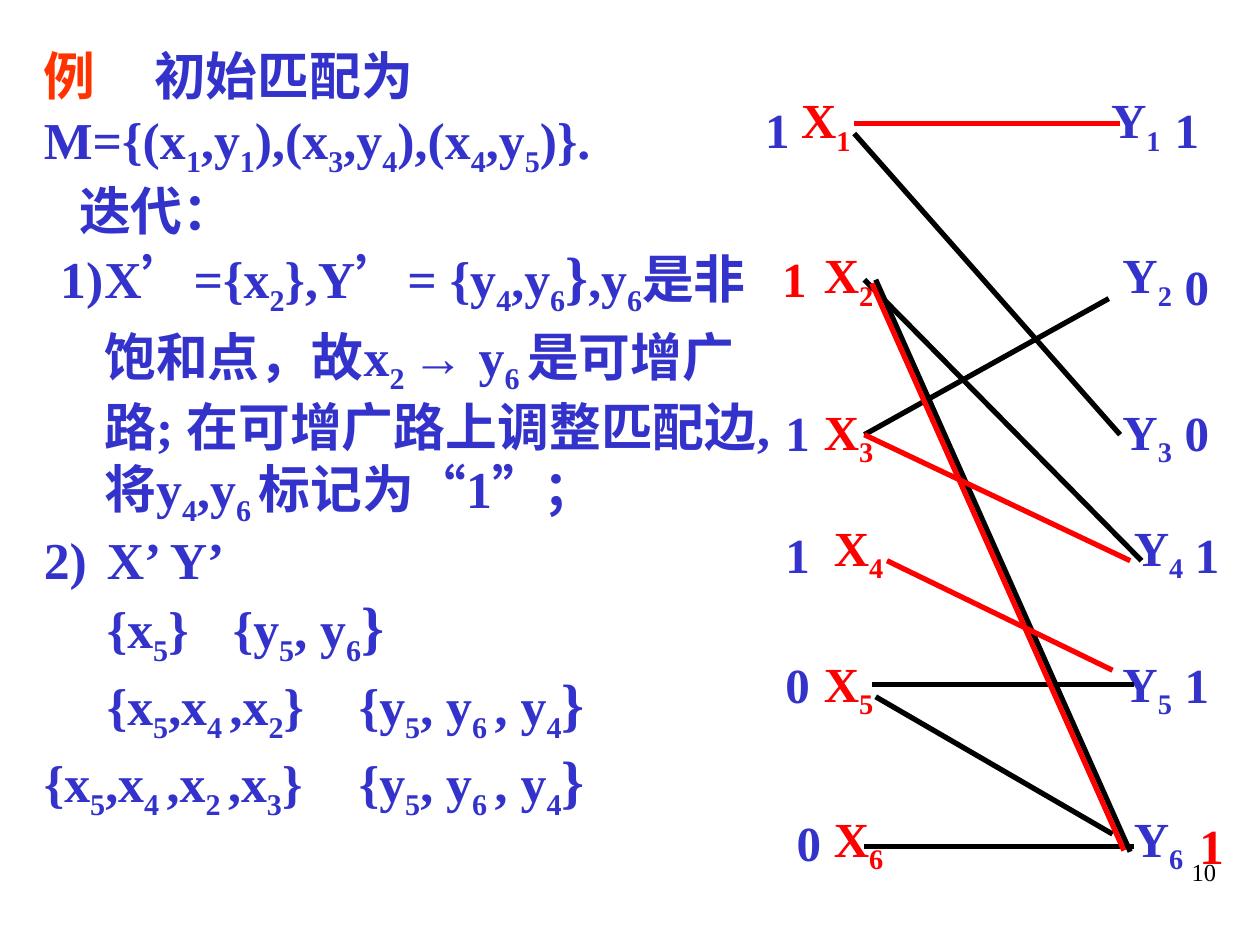
"""Build a slide showing an augmenting-path iteration on a bipartite graph."""
from itertools import groupby

from lxml import etree
from pptx import Presentation
from pptx.dml.color import RGBColor
from pptx.enum.shapes import MSO_CONNECTOR, MSO_SHAPE
from pptx.enum.text import MSO_ANCHOR, PP_ALIGN
from pptx.oxml.ns import qn
from pptx.util import Inches, Pt

OVAL, RECTANGLE = MSO_SHAPE.OVAL, MSO_SHAPE.RECTANGLE
STRAIGHT = MSO_CONNECTOR.STRAIGHT
LEFT, CENTER, RIGHT = PP_ALIGN.LEFT, PP_ALIGN.CENTER, PP_ALIGN.RIGHT
BLUE = RGBColor(0x33, 0x33, 0xCC)
RED = RGBColor(0xFF, 0x00, 0x00)
ORANGE = RGBColor(0xFF, 0x33, 0x00)
BLACK = RGBColor(0x00, 0x00, 0x00)
WHITE = RGBColor(0xFF, 0xFF, 0xFF)
SERIF, ARROW_FONT = "Times New Roman", "Arial"
BODY_SIZE, BIG_SIZE, NODE_SIZE, PAGE_SIZE = 29.6, 33.3, 28, 14

# In the explanation "_" lowers the next character and "^" enlarges it.
EXPLANATION = [
    {"text": "例^\u3000初始匹配为".replace("\u3000", "　")},
    {"text": "M={(x_1,y_1),(x_3,y_4),(x_4,y_5)}."},
    {"text": "迭代：", "margin": 0.28},
    {"text": "X’={x_2},Y’= {y_4,y_6^},y_6是非饱和点，故x_2_ →^ y_6_ 是可增广路; "
             "在可增广路上调整匹配边, 将y_4,y_6_ 标记为“1”；",
     "margin": 0.48, "indent": -0.35, "numbered": True},
    {"text": "2)\tX’\tY’", "tabs": (0.96, 3.1)},
    {"text": "\t{x_5}\t{y_5, y_6^}", "tabs": (0.72, 2.71)},
    {"text": "\t{x_5,x_4_ ,x_2}\t{y_5, y_6_ , y_4^}", "tabs": (0.1, 2.49)},
    {"text": "{x_5,x_4_ ,x_2_ ,x_3}\t{y_5, y_6_ , y_4^}", "tabs": (2.5,)},
]
NODE_TOPS = (0.75, 1.98, 3.22, 4.14, 5.22, 6.45)
NODE_COLUMNS = {
    "X": (RED, (6.25, 6.43, 6.43, 6.51, 6.43, 6.51)),
    "Y": (BLUE, (8.71, 8.8, 8.8, 8.89, 8.8, 8.89)),
}
LABEL_TOPS = (0.79, 2.04, 3.2, 4.17, 5.2, 6.45)
LABEL_COLUMNS = [
    ("1 1100", (5.92, 6.08, 6.08, 6.08, 6.08, 6.17)),
    ("10011 ", (9.17, 9.25, 9.25, 9.33, 9.25, 9.33)),
]
CHANGED_LABELS = [("1", 6, 1.92, 0.5, RIGHT), ("1", 9.42, 6.42, 0.58, LEFT)]
EDGES = [
    (6.78, 0.98, 8.89, 0.98, RED),
    (6.78, 1.06, 8.89, 3.45, BLACK),
    (6.86, 2.22, 9.06, 4.45, BLACK),
    (6.95, 2.22, 8.97, 6.76, BLACK),
    (6.86, 3.45, 8.8, 2.37, BLACK),
    (6.86, 3.45, 8.97, 4.45, RED),
    (7.04, 4.45, 8.83, 5.32, RED),
    (6.95, 5.53, 8.83, 6.62, BLACK),
    (6.86, 6.72, 9, 6.72, BLACK),
    (6.92, 5.43, 9, 5.43, BLACK),
    (6.92, 2.25, 8.92, 6.75, RED),
]


def style(run, size, color, bold=True, font=SERIF):
    run.font.size, run.font.bold, run.font.name = Pt(size), bold, font
    run.font.color.rgb = color


def styled_pieces(text):
    marked, mark = [], ""
    for char in text:
        if char in "_^":
            mark = char
            continue
        marked.append((mark or (char if char in "例→" else ""), char))
        mark = ""
    for mark, pairs in groupby(marked, key=lambda pair: pair[0]):
        yield mark, "".join(char for _, char in pairs)


def add_marked_text(paragraph, text):
    for mark, piece in styled_pieces(text):
        run = paragraph.add_run()
        run.text = piece
        style(run, BIG_SIZE if mark == "^" else BODY_SIZE,
              ORANGE if mark == "例" else BLUE,
              font=ARROW_FONT if mark == "→" else SERIF)
        if mark == "_":
            run.font._element.set("baseline", "-25000")


def set_layout(paragraph, margin=0, indent=0, tabs=(), numbered=False):
    properties = paragraph._p.get_or_add_pPr()
    properties.set("marL", str(Inches(margin)))
    properties.set("indent", str(Inches(indent)))
    if numbered:
        etree.SubElement(properties, qn("a:buFont"), typeface=SERIF)
        etree.SubElement(properties, qn("a:buAutoNum"), type="arabicParenR")
    if tabs:
        stops = etree.SubElement(properties, qn("a:tabLst"))
        for tab in tabs:
            etree.SubElement(stops, qn("a:tab"), pos=str(Inches(tab)), algn="l")


def add_explanation(slide):
    box = slide.shapes.add_textbox(*map(Inches, (0.25, 0.25, 6, 6.92)))
    frame = box.text_frame
    frame.word_wrap = True
    for index, entry in enumerate(EXPLANATION):
        paragraph = frame.add_paragraph() if index else frame.paragraphs[0]
        layout = {key: value for key, value in entry.items() if key != "text"}
        set_layout(paragraph, **layout)
        add_marked_text(paragraph, entry["text"])


def add_mark(slide, preset, text, place, color, align=CENTER, subscript=""):
    shape = slide.shapes.add_shape(preset, *map(Inches, place))
    shape.shadow.inherit = False
    shape.line.fill.background()
    shape.fill.background()
    frame = shape.text_frame
    frame.word_wrap = False
    frame.vertical_anchor = MSO_ANCHOR.MIDDLE
    paragraph = frame.paragraphs[0]
    paragraph.alignment = align
    paragraph.text = text
    if subscript:
        lowered = paragraph.add_run()
        lowered.text = subscript
        lowered.font._element.set("baseline", "-25000")
    for run in paragraph.runs:
        style(run, NODE_SIZE, color)
    return shape


def add_graph(slide):
    for letter, (color, lefts) in NODE_COLUMNS.items():
        for number, (left, top) in enumerate(zip(lefts, NODE_TOPS), 1):
            add_mark(slide, OVAL, letter, (left, top, 0.61, 0.46), color,
                     subscript=str(number))
    for x1, y1, x2, y2, color in EDGES:
        edge = slide.shapes.add_connector(STRAIGHT, *map(Inches, (x1, y1, x2, y2)))
        edge.line.color.rgb, edge.line.width = color, Pt(3)
        etree.SubElement(edge._element.spPr, qn("a:effectLst"))
    for digits, lefts in LABEL_COLUMNS:
        for digit, left, top in zip(digits, lefts, LABEL_TOPS):
            if digit.strip():
                add_mark(slide, OVAL, digit, (left, top, 0.5, 0.46), BLUE)
    for digit, left, top, width, align in CHANGED_LABELS:
        label = add_mark(slide, RECTANGLE, digit, (left, top, width, 0.57), RED, align)
        label.fill.solid()
        label.fill.fore_color.rgb = WHITE
        label.text_frame.word_wrap = True


def add_page_number(slide):
    box = slide.shapes.add_textbox(*map(Inches, (7.67, 6.75, 2.08, 0.5)))
    box.text_frame.word_wrap = True
    paragraph = box.text_frame.paragraphs[0]
    paragraph.text, paragraph.alignment = "10", RIGHT
    style(paragraph.runs[0], PAGE_SIZE, BLACK, bold=False)


def main():
    deck = Presentation()
    deck.slide_width, deck.slide_height = Inches(10), Inches(7.5)
    slide = deck.slides.add_slide(deck.slide_layouts[6])
    add_explanation(slide)
    add_graph(slide)
    add_page_number(slide)
    deck.save("out.pptx")


if __name__ == "__main__":
    main()
